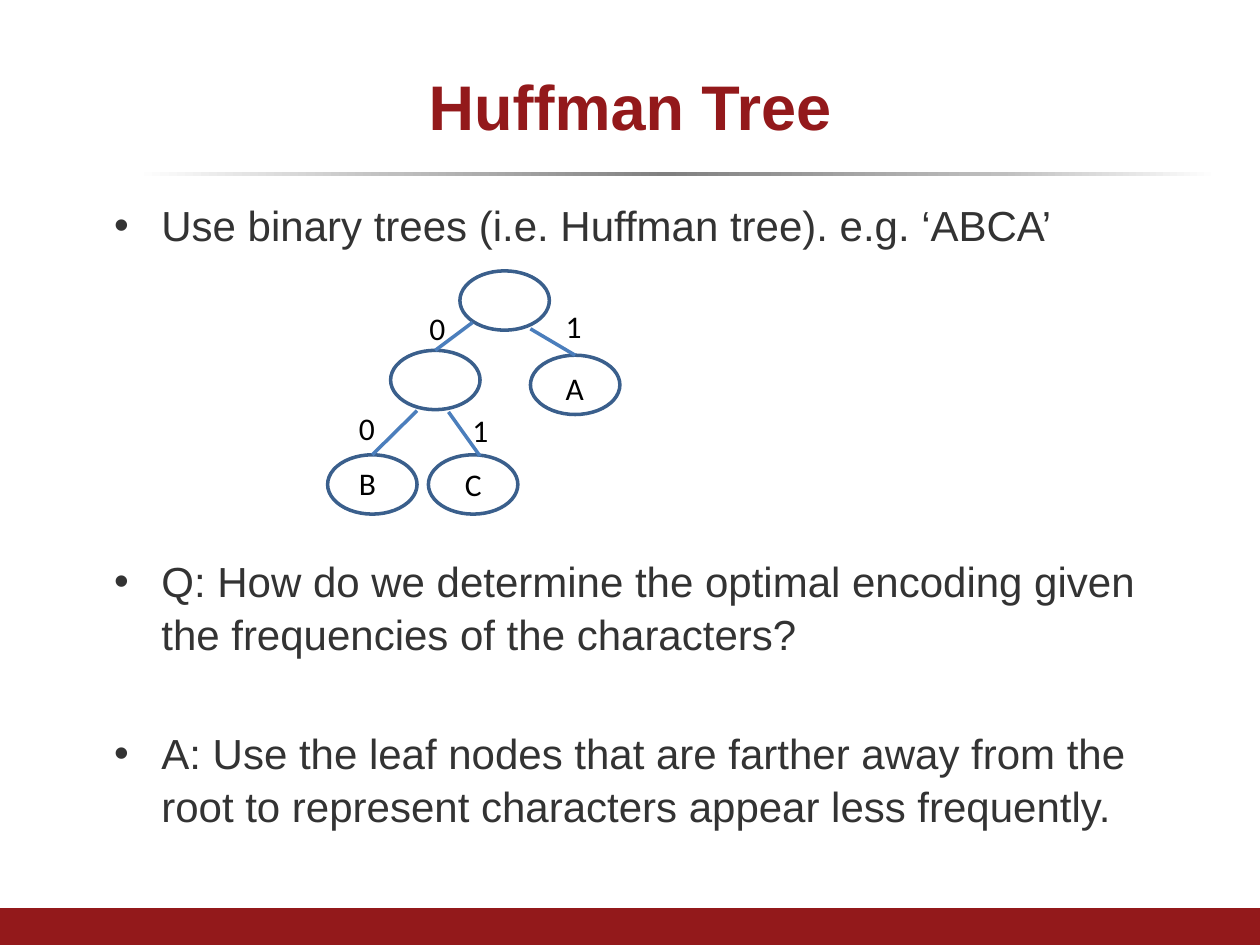
from dataclasses import dataclass
from lxml import etree
from pptx import Presentation
from pptx.dml.color import RGBColor
from pptx.enum.shapes import MSO_CONNECTOR, MSO_SHAPE
from pptx.enum.text import MSO_ANCHOR, MSO_AUTO_SIZE, PP_ALIGN
from pptx.oxml import parse_xml
from pptx.oxml.ns import nsdecls, qn
from pptx.util import Pt

OVAL, RECTANGLE = MSO_SHAPE.OVAL, MSO_SHAPE.RECTANGLE
STRAIGHT = MSO_CONNECTOR.STRAIGHT
LEFT, CENTER = PP_ALIGN.LEFT, PP_ALIGN.CENTER
TOP, MIDDLE = MSO_ANCHOR.TOP, MSO_ANCHOR.MIDDLE
NO_AUTOFIT = MSO_AUTO_SIZE.NONE
TOP_SITE = 0


@dataclass(frozen=True)
class Theme:
    brand: str = "93191B"
    body: str = "333333"
    label: str = "000000"
    node: str = "3A5F8C"
    edge: str = "4B7EBC"
    font: str = "Arial"
    label_font: str = "Calibri"
    title_size: float = 36
    body_size: float = 24
    label_size: float = 18
    stroke: float = 2
    rule: tuple = ((0, "FFFFFF"), (24, "BFBFBF"), (49, "808080"), (80, "BFBFBF"), (100, "FFFFFF"))


THEME = Theme()
NODE_SIZE = (51.1, 33.9)
NODES = {
    "root": (262.8, 154.8),
    "inner": (223.2, 200.2),
    "A": (303.1, 203),
    "B": (187.2, 259.9),
    "C": (244.8, 259.9),
}
EDGES = [
    ("inner", (270, 184.3), None),
    ("A", (303.1, 187.9), None),
    ("B", (238.3, 234.7), None),
    ("C", (256.3, 235.4), (274.3, 260.6)),
]
LABELS = [
    ("1", 316.1, 172.1),
    ("1", 262.8, 231.1),
    ("0", 238.3, 172.8),
    ("0", 198, 230.4),
    ("B", 198, 261.4),
    ("C", 258.5, 262.1),
    ("A", 316.1, 207.4),
]
POINTS = [
    ("Use binary trees (i.e. Huffman tree). e.g. ‘ABCA’", 0),
    ("Q: How do we determine the optimal encoding given the frequencies of the characters?", 173.3),
    ("A: Use the leaf nodes that are farther away from the root to represent characters "
     "appear less frequently.", 38),
]


def place(shape, left, top, width, height):
    shape.left, shape.top, shape.width, shape.height = map(Pt, (left, top, width, height))


def write(paragraph, text, *, size, color, font=THEME.font, bold=False, align=LEFT):
    paragraph.alignment = align
    run = paragraph.add_run()
    run.text = text
    run.font.name, run.font.size, run.font.bold = font, Pt(size), bold
    run.font.color.rgb = RGBColor.from_string(color)


def setup_frame(shape, anchor):
    frame = shape.text_frame
    frame.word_wrap = True
    frame.auto_size = NO_AUTOFIT
    frame.vertical_anchor = anchor
    return frame


def add_title(slide, text):
    title = slide.shapes.title
    place(title, 36, 21.6, 648, 77)
    write(setup_frame(title, MIDDLE).paragraphs[0], text, size=THEME.title_size,
          color=THEME.brand, bold=True, align=CENTER)


def add_points(slide, points):
    body = slide.placeholders[1]
    place(body, 36, 109, 648, 407)
    frame = setup_frame(body, TOP)
    for index, (text, space) in enumerate(points):
        paragraph = frame.add_paragraph() if index else frame.paragraphs[0]
        paragraph.space_before = Pt(space)
        paragraph.line_spacing = 1.05
        properties = paragraph._p.get_or_add_pPr()
        properties.set("marL", str(Pt(49)))
        properties.set("indent", str(Pt(-27)))
        write(paragraph, text, size=THEME.body_size, color=THEME.body)


def add_shape(slide, kind, box, *, fill=None, line=None):
    shape = slide.shapes.add_shape(kind, *map(Pt, box))
    shape.shadow.inherit = False
    if fill:
        shape.fill.solid()
        shape.fill.fore_color.rgb = RGBColor.from_string(fill)
    else:
        shape.fill.background()
    if line:
        shape.line.color.rgb = RGBColor.from_string(line)
        shape.line.width = Pt(THEME.stroke)
    else:
        shape.line.fill.background()
    return shape


def add_rule(slide, box, stops):
    rule = add_shape(slide, RECTANGLE, box)
    stop_xml = "".join(
        f'<a:gs pos="{position * 1000}"><a:srgbClr val="{color}"/></a:gs>'
        for position, color in stops)
    gradient = parse_xml(f'<a:gradFill {nsdecls("a")} rotWithShape="1"><a:gsLst>{stop_xml}</a:gsLst>'
                         '<a:lin ang="0" scaled="0"/></a:gradFill>')
    properties = rule._element.spPr
    properties.replace(properties.find(qn("a:noFill")), gradient)


def add_edge(slide, start, child, end):
    target = end or (0, 0)
    edge = slide.shapes.add_connector(STRAIGHT, *map(Pt, start + target))
    if end is None:
        edge.end_connect(child, TOP_SITE)
    edge.line.color.rgb = RGBColor.from_string(THEME.edge)
    edge.line.width = Pt(THEME.stroke)
    etree.SubElement(edge._element.spPr, qn("a:effectLst"))


def add_label(slide, text, left, top):
    label = slide.shapes.add_textbox(*map(Pt, (left, top, 30.2, 29)))
    write(setup_frame(label, TOP).paragraphs[0], text, size=THEME.label_size,
          color=THEME.label, font=THEME.label_font)


def main():
    deck = Presentation()
    deck.slide_width, deck.slide_height = Pt(720), Pt(540)
    slide = deck.slides.add_slide(deck.slide_layouts[1])
    add_rule(slide, (77.8, 98.4, 617.8, 2.2), THEME.rule)
    add_shape(slide, RECTANGLE, (0, 519, 720, 21), fill=THEME.brand)
    add_title(slide, "Huffman Tree")
    add_points(slide, POINTS)
    nodes = {name: add_shape(slide, OVAL, corner + NODE_SIZE, line=THEME.node)
             for name, corner in NODES.items()}
    for child, start, end in EDGES:
        add_edge(slide, start, nodes[child], end)
    for label in LABELS:
        add_label(slide, *label)
    deck.save("out.pptx")


if __name__ == "__main__":
    main()
